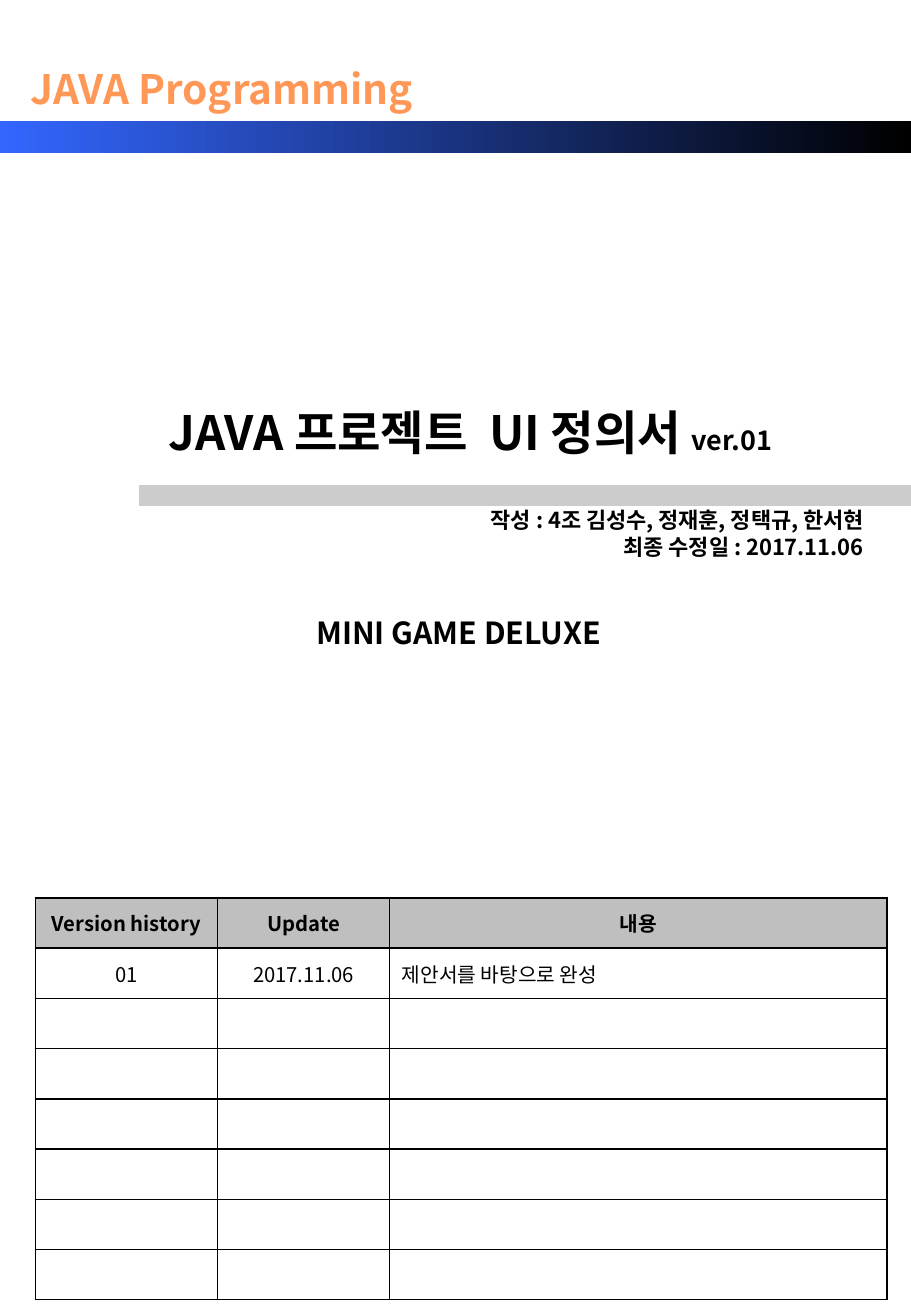
from lxml import etree
from pptx import Presentation
from pptx.dml.color import RGBColor
from pptx.enum import shapes, text
from pptx.oxml import ns
from pptx.util import Cm, Pt

FONT = "Noto Sans CJK KR"
BLACK = RGBColor(0x00, 0x00, 0x00)
WHITE = RGBColor(0xFF, 0xFF, 0xFF)
BLUE = RGBColor(0x33, 0x66, 0xFF)
ORANGE = RGBColor(0xFF, 0x98, 0x56)
RULE_GREY = RGBColor(0xCC, 0xCC, 0xCC)
HEADER_GREY = RGBColor(0xBF, 0xBF, 0xBF)

LEFT, CENTER, RIGHT = text.PP_ALIGN.LEFT, text.PP_ALIGN.CENTER, text.PP_ALIGN.RIGHT

PAGE_WIDTH, PAGE_HEIGHT = Cm(19.05), Cm(27.51)
COLUMN_WIDTHS = (Cm(3.81), Cm(3.6), Cm(10.4))
ROW_HEIGHT = Cm(1.05)
ROW_COUNT = 8
HISTORY = (
    ("Version history", "Update", "내용"),
    ("01", "2017.11.06", "제안서를 바탕으로 완성"),
)


def add_run(paragraph, wording, size, bold=True, color=BLACK):
    run = paragraph.add_run()
    run.text = wording
    run.font.size = Pt(size)
    run.font.bold = bold
    run.font.name = FONT
    run.font.color.rgb = color
    east_asian = etree.SubElement(run.font._element, ns.qn("a:ea"))
    east_asian.set("typeface", FONT)


def add_text(slide, box, lines, align, color=BLACK, wrap=True):
    """Each line is a list of (wording, size) runs."""
    frame = slide.shapes.add_textbox(*box).text_frame
    frame.word_wrap = wrap
    for index, runs in enumerate(lines):
        paragraph = frame.add_paragraph() if index else frame.paragraphs[0]
        paragraph.alignment = align
        for wording, size in runs:
            add_run(paragraph, wording, size, color=color)


def add_bar(slide, box):
    bar = slide.shapes.add_shape(shapes.MSO_SHAPE.RECTANGLE, *box)
    bar.shadow.inherit = False
    bar.line.fill.background()
    return bar


def add_borders(cell):
    properties = cell._tc.get_or_add_tcPr()
    for side in ("a:lnL", "a:lnR", "a:lnT", "a:lnB"):
        border = etree.SubElement(properties, ns.qn(side), w=str(Pt(1)))
        fill = etree.SubElement(border, ns.qn("a:solidFill"))
        etree.SubElement(fill, ns.qn("a:srgbClr"), val=str(BLACK))


def add_history(slide, left, top):
    table = slide.shapes.add_table(
        ROW_COUNT, len(COLUMN_WIDTHS), left, top,
        sum(COLUMN_WIDTHS), ROW_HEIGHT * ROW_COUNT).table
    for column, width in zip(table.columns, COLUMN_WIDTHS):
        column.width = width
    for row_index, row in enumerate(table.rows):
        row.height = ROW_HEIGHT
        is_header = row_index == 0
        for cell in row.cells:
            add_borders(cell)
            cell.fill.solid()
            cell.fill.fore_color.rgb = HEADER_GREY if is_header else WHITE
            cell.vertical_anchor = text.MSO_ANCHOR.MIDDLE
    for row_index, entries in enumerate(HISTORY):
        is_header = row_index == 0
        for column_index, wording in enumerate(entries):
            paragraph = table.cell(row_index, column_index).text_frame.paragraphs[0]
            is_description = column_index == 2 and not is_header
            paragraph.alignment = LEFT if is_description else CENTER
            add_run(paragraph, wording, 12, bold=is_header)


def main():
    prs = Presentation()
    prs.slide_width, prs.slide_height = PAGE_WIDTH, PAGE_HEIGHT
    slide = prs.slides.add_slide(prs.slide_layouts[6])

    # Course banner
    banner = add_bar(slide, (0, Cm(2.52), PAGE_WIDTH, Cm(0.68)))
    banner.fill.gradient()
    banner.fill.gradient_angle = 0
    for stop, color, position in zip(banner.fill.gradient_stops, (BLUE, BLACK), (0, 1)):
        stop.color.rgb = color
        stop.position = position
    add_text(slide, (Cm(0.36), Cm(1.22), Cm(8.56), Cm(1.27)),
             [[("JAVA Programming", 24)]], CENTER, ORANGE, wrap=False)

    # Document title and rule
    add_text(slide, (Cm(0.84), Cm(8.3), Cm(18), Cm(1.6)),
             [[("JAVA 프로젝트  UI 정의서 ", 28), ("ver.01", 16)]], CENTER)
    rule = add_bar(slide, (Cm(2.92), Cm(10.16), Cm(16.13), Cm(0.41)))
    rule.fill.solid()
    rule.fill.fore_color.rgb = RULE_GREY
    rule.line.color.rgb = RULE_GREY
    rule.line.width = Pt(0.75)

    # Authors, date and project name
    add_text(slide, (Cm(6.1), Cm(10.47), Cm(12.21), Cm(1.6)),
             [[("작성 : 4조 김성수, 정재훈, 정택규, 한서현", 13)],
              [("최종 수정일 : 2017.11.06", 13)]], RIGHT)
    add_text(slide, (Cm(2.92), Cm(12.72), Cm(13.34), Cm(2.21)),
             [[("MINI GAME DELUXE", 18)]], CENTER)

    # Version history
    add_history(slide, Cm(0.74), Cm(18.77))

    prs.save("out.pptx")


if __name__ == "__main__":
    main()
